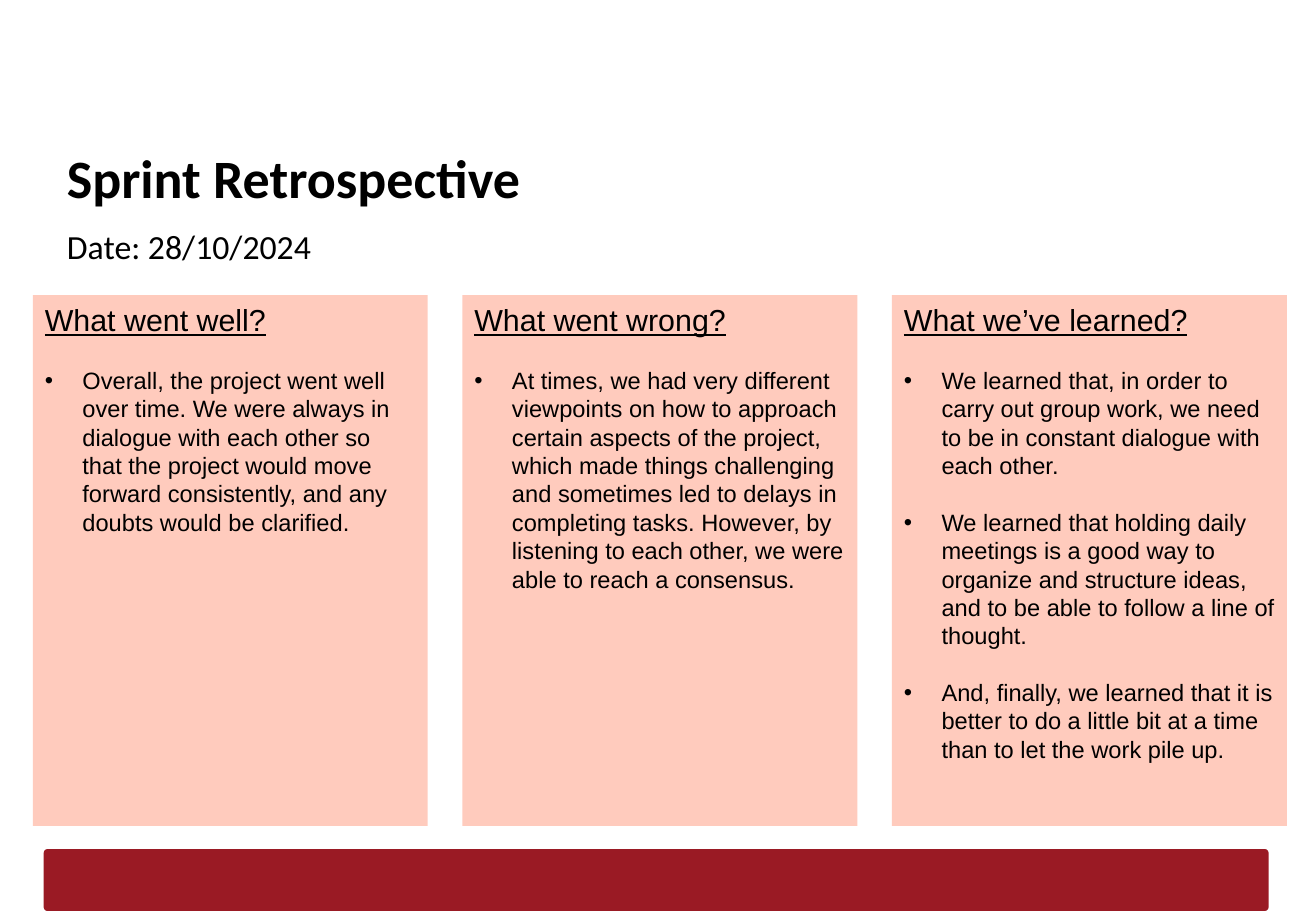
from lxml.etree import SubElement
from pptx import Presentation
from pptx.dml.color import RGBColor
from pptx.enum.shapes import MSO_SHAPE as Shape
from pptx.enum.text import MSO_ANCHOR as Anchor, MSO_AUTO_SIZE as AutoSize, PP_ALIGN as Align
from pptx.oxml.ns import qn
from pptx.util import Pt

PX = 4572  # EMU; 200 px to the inch

COLUMNS = [
    ("What went well?", [
        "Overall, the project went well over time. We were always in dialogue with each other "
        "so that the project would move forward consistently, and any doubts would be clarified.",
    ]),
    ("What went wrong?", [
        "At times, we had very different viewpoints on how to approach certain aspects of the "
        "project, which made things challenging and sometimes led to delays in completing tasks. "
        "However, by listening to each other, we were able to reach a consensus.",
    ]),
    ("What we’ve learned?", [
        "We learned that, in order to carry out group work, we need to be in constant dialogue "
        "with each other.",
        "We learned that holding daily meetings is a good way to organize and structure ideas, "
        "and to be able to follow a line of thought.",
        "And, finally, we learned that it is better to do a little bit at a time than to let "
        "the work pile up.",
    ]),
]


def color(hex_text):
    return RGBColor.from_string(hex_text)


def write(para, text, font="Arial", size=14, bold=False, underline=False, leading=None,
          before=0, after=0, bullet=None, indent=0):
    """Fill a paragraph with one formatted span; leading is a multiple of the size."""
    para.alignment = Align.LEFT
    para.space_before, para.space_after = Pt(before), Pt(after)
    if leading:
        para.line_spacing = Pt(round(size * leading, 1))
    span = para.add_run()
    span.text = text
    span.font.name, span.font.size = font, Pt(size)
    span.font.bold, span.font.underline = bold, underline
    span.font.color.rgb = color("000000")
    props = para._p.get_or_add_pPr()
    props.set("marL", str(indent * PX))
    props.set("indent", str(-indent * PX))
    if bullet:
        SubElement(props, qn("a:buFont")).set("typeface", "Arial")
        SubElement(props, qn("a:buChar")).set("char", bullet)
    else:
        SubElement(props, qn("a:buNone"))


class RetroSlide:
    bar_fill = "9A1A24"
    box_fill = "FFCBBD"
    leading = 1.2
    gap = 16.8

    def __init__(self, deck):
        self.page = deck.slides.add_slide(deck.slide_layouts[1])

    def shape(self, kind, left, top, width, height, fill):
        box = self.page.shapes.add_shape(kind, left * PX, top * PX, width * PX, height * PX)
        box.shadow.inherit = False
        box.fill.solid()
        box.fill.fore_color.rgb = color(fill)
        box.line.fill.background()
        return box

    def placeholder(self, index, text, left, top, width, height, **style):
        holder = self.page.placeholders[index]
        holder.left, holder.top = left * PX, top * PX
        holder.width, holder.height = width * PX, height * PX
        frame = holder.text_frame
        frame.auto_size, frame.vertical_anchor = AutoSize.NONE, Anchor.TOP
        frame.margin_left = frame.margin_right = 20 * PX
        frame.margin_top = frame.margin_bottom = 20 * PX
        write(frame.paragraphs[0], text, font="Calibri", **style)

    def bar(self, left, top, width, height):
        self.shape(Shape.ROUNDED_RECTANGLE, left, top, width, height,
                   self.bar_fill).adjustments[0] = 0.06

    def column(self, heading, points, left, top, width, height):
        frame = self.shape(Shape.RECTANGLE, left, top, width, height, self.box_fill).text_frame
        frame.word_wrap, frame.vertical_anchor = True, Anchor.TOP
        write(frame.paragraphs[0], heading, size=18, underline=True, leading=self.leading)
        for point in points:
            write(frame.add_paragraph(), point, leading=self.leading, before=self.gap,
                  bullet="•", indent=62)


def main():
    deck = Presentation()
    deck.slide_width, deck.slide_height = 2166 * PX, 1500 * PX
    slide = RetroSlide(deck)
    slide.bar(72, 1398, 2016, 102)
    slide.placeholder(0, "Sprint Retrospective", 90, 218, 1978, 126, size=32, bold=True)
    slide.placeholder(1, "Date: 28/10/2024", 90, 352, 1978, 1004, size=20, after=4)
    for number, (heading, points) in enumerate(COLUMNS):
        slide.column(heading, points, 54 + 707 * number, 486, 650, 874)
    deck.save("out.pptx")


if __name__ == "__main__":
    main()
